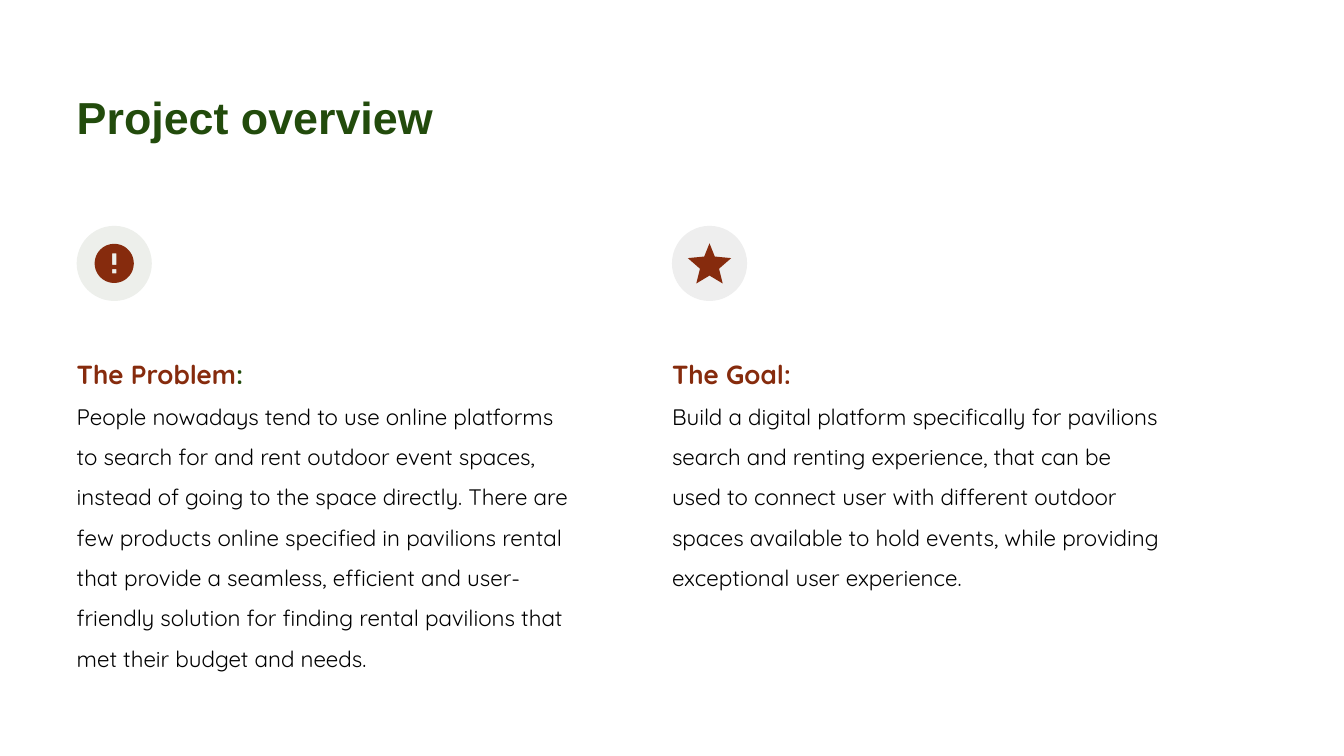
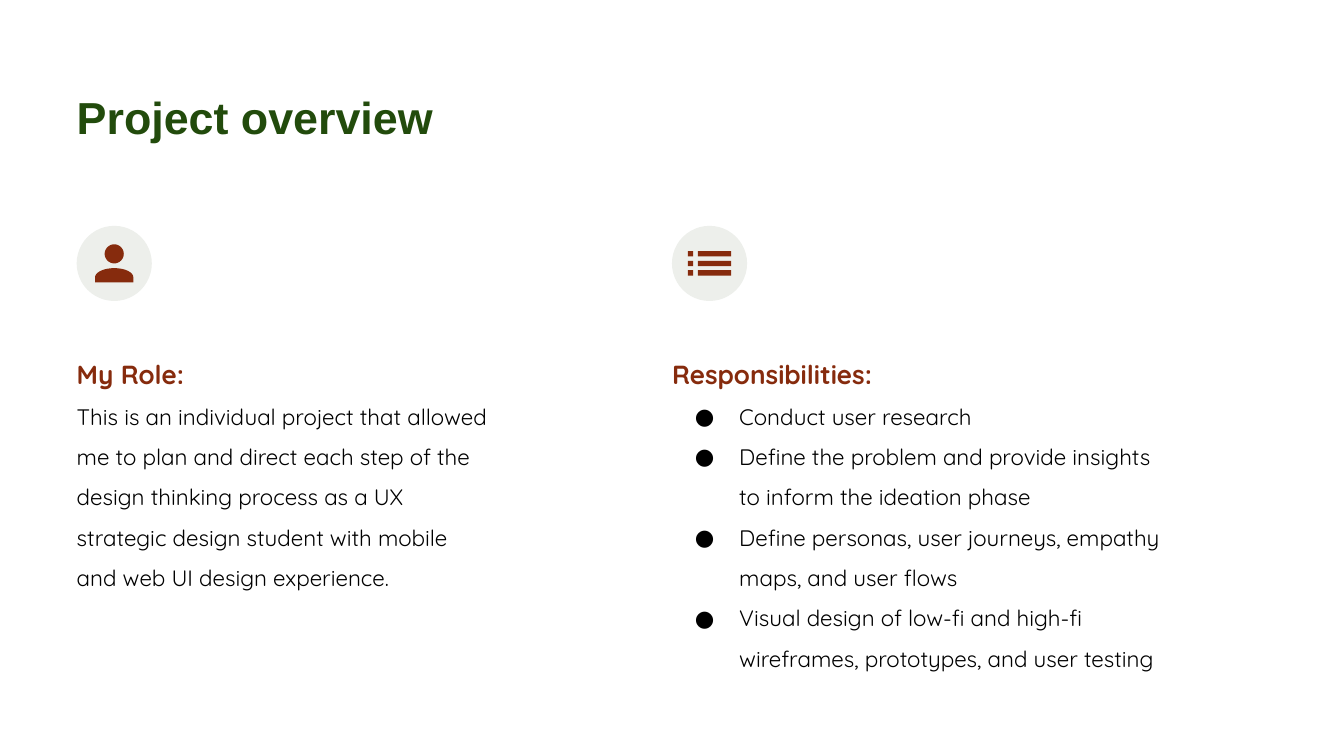
import math
from dataclasses import dataclass

import pptx
import pptx.dml.color
import pptx.enum.shapes
import pptx.enum.text
import pptx.util
from lxml import etree
from pptx.util import Cm

Point = tuple[float, float]
Contour = list[Point]

COLORS = {
    "title": "224B0C",
    "accent": "862B0D",
    "body": "000000",
    "page": "FFFFFF",
    "badge": "EDEFEB",
    "gray_badge": "EEEEEE",
}
TITLE_FONT = "Arial"
BODY_FONT = "Quicksand"
MARGIN = 1.45
COLUMN_STEP = 11.25
BADGE_TOP = 4.27
BADGE_SIZE = 1.42
TEXT_TOP = 6.22
INSET = 0.25
DRAWING_NS = "http://schemas.openxmlformats.org/drawingml/2006/main"


@dataclass(frozen=True)
class Column:
    heading: str
    lines: list[str]
    icon: list[Contour]
    height: float
    width: float = 9.58
    bulleted: bool = False
    badge: str = "badge"
    colon: str = "accent"


@dataclass(frozen=True)
class Overview:
    title_width: float
    columns: list[Column]


def rectangle(left: float, top: float, right: float, bottom: float) -> Contour:
    return [(left, top), (right, top), (right, bottom), (left, bottom)]


def arc(y: float, radius_x: float, radius_y: float, sweep: int = 360) -> Contour:
    angles = [math.radians(180 + degree) for degree in range(0, sweep + 1, 6)]
    return [(radius_x * math.cos(a), y + radius_y * math.sin(a)) for a in angles]


def alert_icon() -> list[Contour]:
    return [
        arc(0, 0.37, 0.37),
        rectangle(-0.04, -0.19, 0.04, 0.03),
        rectangle(-0.04, 0.11, 0.04, 0.19),
    ]


def star_icon() -> list[Contour]:
    half = [(0, -0.38), (0.1, -0.13), (0.41, -0.1), (0.18, 0.1), (0.25, 0.38), (0, 0.23)]
    return [half + [(-x, y) for x, y in reversed(half[1:-1])]]


def person_icon() -> list[Contour]:
    shoulders = arc(0.26, 0.36, 0.17, 180)
    return [arc(-0.18, 0.18, 0.18), shoulders + [(0.36, 0.36), (-0.36, 0.36)]]


def list_icon() -> list[Contour]:
    return [
        rectangle(left, y - 0.05, right, y + 0.05)
        for left, right in ((-0.41, -0.31), (-0.22, 0.41))
        for y in (-0.18, 0, 0.18)
    ]


def rgb(name: str) -> pptx.dml.color.RGBColor:
    return pptx.dml.color.RGBColor.from_string(COLORS[name])


def paint(shape, color: str) -> None:
    shape.fill.solid()
    shape.fill.fore_color.rgb = rgb(color)
    shape.line.fill.background()
    shape.shadow.inherit = False


def add_span(para, text: str, *, font: str = BODY_FONT, size: float = 12,
             color: str = "body", bold: bool = False) -> None:
    span = para.add_run()
    span.text = text
    span.font.name = font
    span.font.size = pptx.util.Pt(size)
    span.font.color.rgb = rgb(color)
    span.font.bold = bold


def place(box, left: float, top: float, width: float, height: float):
    box.left, box.top, box.width, box.height = map(Cm, (left, top, width, height))
    frame = box.text_frame
    frame.word_wrap = True
    frame.auto_size = pptx.enum.text.MSO_AUTO_SIZE.SHAPE_TO_FIT_TEXT
    frame.vertical_anchor = pptx.enum.text.MSO_ANCHOR.TOP
    frame.margin_left = 0
    frame.margin_top = frame.margin_right = frame.margin_bottom = Cm(INSET)
    return frame


def set_bullet(para, bulleted: bool) -> None:
    properties = para._p.get_or_add_pPr()
    properties.set("marL", str(Cm(1.27) if bulleted else 0))
    properties.set("indent", str(-Cm(0.84) if bulleted else 0))

    def add(parent, tag: str, **attributes: str):
        return etree.SubElement(parent, f"{{{DRAWING_NS}}}{tag}", **attributes)

    if bulleted:
        add(add(properties, "buClr"), "srgbClr", val=COLORS["body"])
        add(properties, "buFont", typeface=BODY_FONT)
        add(properties, "buChar", char="●")
    else:
        add(properties, "buNone")


def format_para(para, bulleted: bool = False) -> None:
    set_bullet(para, bulleted)
    para.line_spacing = 1.5
    para.space_before = pptx.util.Pt(0)


def add_icon(page, contours: list[Contour], center: Point) -> None:
    outlines = [
        [(Cm(center[0] + x), Cm(center[1] + y)) for x, y in contour]
        for contour in contours
    ]
    builder = page.shapes.build_freeform(*outlines[0][0])
    for number, outline in enumerate(outlines):
        if number:
            builder.move_to(*outline[0])
        builder.add_line_segments(outline[1:], close=True)
    paint(builder.convert_to_shape(), "accent")


def add_column(page, box, column: Column, left: float) -> None:
    frame = place(box, left, TEXT_TOP, column.width, column.height)
    heading = frame.paragraphs[0]
    format_para(heading)
    add_span(heading, column.heading, size=14, color="accent", bold=True)
    add_span(heading, ":", size=14, color=column.colon, bold=True)
    for line in column.lines:
        para = frame.add_paragraph()
        format_para(para, column.bulleted)
        add_span(para, line)
    badge = page.shapes.add_shape(
        pptx.enum.shapes.MSO_SHAPE.OVAL,
        Cm(left), Cm(BADGE_TOP), Cm(BADGE_SIZE), Cm(BADGE_SIZE),
    )
    paint(badge, column.badge)
    add_icon(page, column.icon, (left + BADGE_SIZE / 2, BADGE_TOP + BADGE_SIZE / 2))


def add_overview(deck, overview: Overview) -> None:
    page = deck.slides.add_slide(deck.slide_layouts.get_by_name("Two Content"))
    page.background.fill.solid()
    page.background.fill.fore_color.rgb = rgb("page")
    title, *boxes = page.placeholders
    para = place(title, MARGIN, MARGIN, overview.title_width, 1.55).paragraphs[0]
    para.alignment = pptx.enum.text.PP_ALIGN.LEFT
    add_span(para, "Project overview", font=TITLE_FONT, size=24, color="title", bold=True)
    for number, (box, column) in enumerate(zip(boxes, overview.columns)):
        add_column(page, box, column, MARGIN + number * COLUMN_STEP)


OVERVIEWS = [
    Overview(7.82, [
        Column(
            "The Problem",
            ["People nowadays tend to use online platforms to search for and rent "
             "outdoor event spaces, instead of going to the space directly. There are "
             "few products online specified in pavilions rental that provide a "
             "seamless, efficient and user-friendly solution for finding rental "
             "pavilions that met their budget and needs."],
            alert_icon(), 6.55, colon="title",
        ),
        Column(
            "The Goal",
            ["Build a digital platform specifically for pavilions search and renting "
             "experience, that can be used to connect user with different outdoor "
             "spaces available to hold events, while providing exceptional user "
             "experience."],
            star_icon(), 5, badge="gray_badge",
        ),
    ]),
    Overview(17.09, [
        Column(
            "My Role",
            ["This is an individual project that allowed me to plan and direct each "
             "step of the design thinking process as a UX strategic design student "
             "with mobile and web UI design experience."],
            person_icon(), 5, width=8.1,
        ),
        Column(
            "Responsibilities",
            ["Conduct user research",
             "Define the problem and provide insights to inform the ideation phase",
             "Define personas, user journeys, empathy maps, and user flows",
             "Visual design of low-fi and high-fi wireframes, prototypes, and user testing"],
            list_icon(), 6.55, bulleted=True,
        ),
    ]),
]


def main() -> None:
    deck = pptx.Presentation()
    deck.slide_width, deck.slide_height = Cm(25.4), Cm(14.29)
    for overview in OVERVIEWS:
        add_overview(deck, overview)
    deck.save("out.pptx")


if __name__ == "__main__":
    main()
